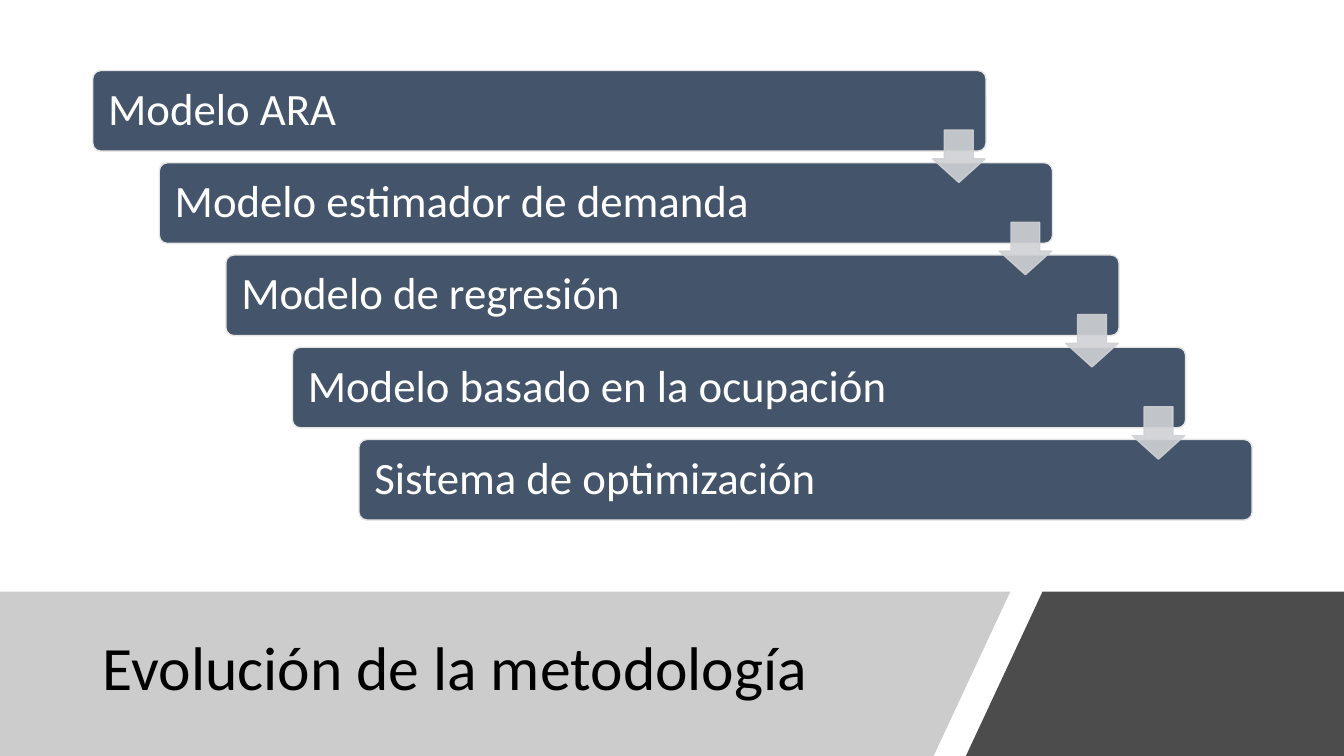
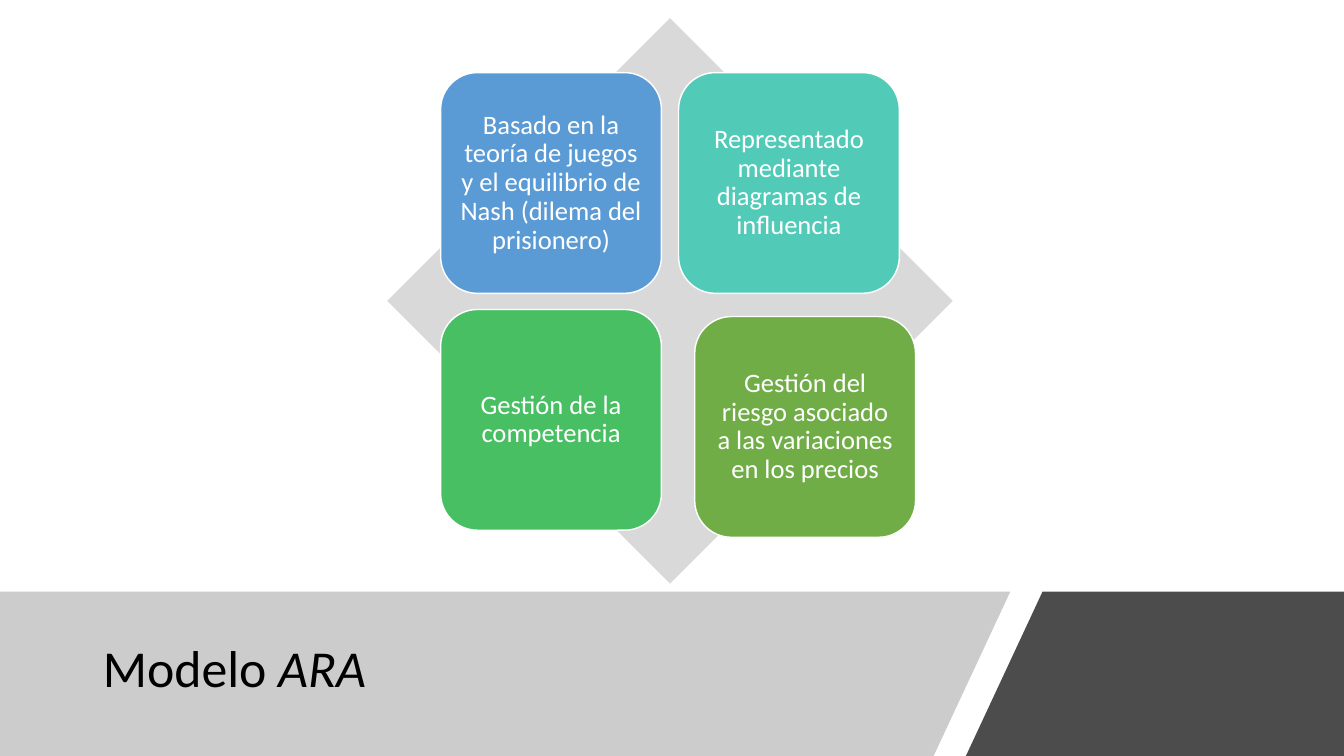
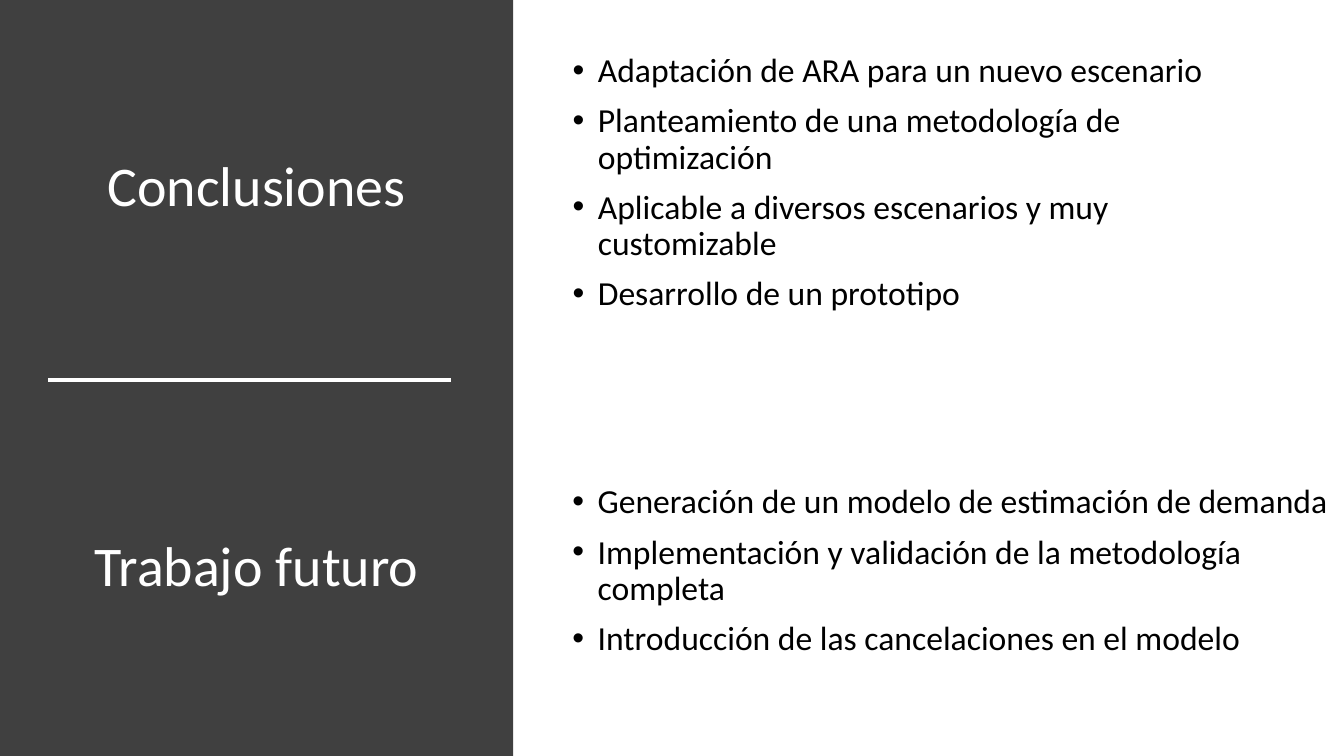
from dataclasses import dataclass

from lxml import etree
from pptx import Presentation
from pptx import util as u
from pptx.dml.color import RGBColor
from pptx.enum import shapes, text
from pptx.oxml.ns import qn

# Content
STEPS_TITLE = [("Evolución de la metodología", False)]
STEPS = [
    "Modelo ARA",
    "Modelo estimador de demanda",
    "Modelo de regresión",
    "Modelo basado en la ocupación",
    "Sistema de optimización",
]
ARA_TITLE = [("Modelo ", False), ("ARA", True)]
TRAITS = [  # wording, fill, left, top
    ("Basado en la teoría de juegos y el equilibrio de Nash (dilema del prisionero)",
     "5B9BD5", 4.37, 0.72),
    ("Representado mediante diagramas de influencia", "52CAB8", 6.73, 0.72),
    ("Gestión de la competencia", "49BF64", 4.37, 3.07),
    ("Gestión del riesgo asociado a las variaciones en los precios",
     "70AD47", 6.89, 3.14),
]
CONCLUSIONS = ("Conclusiones", [
    "Adaptación de ARA para un nuevo escenario",
    "Planteamiento de una metodología de optimización",
    "Aplicable a diversos escenarios y muy customizable",
    "Desarrollo de un prototipo",
])
FUTURE = ("Trabajo futuro", [
    "Generación de un modelo de estimación de demanda",
    "Implementación y validación de la metodología completa",
    "Introducción de las cancelaciones en el modelo",
])


@dataclass(frozen=True)
class Theme:
    font: str = "Calibri"
    ink: str = "000000"
    paper: str = "FFFFFF"
    band: str = "808080"
    panel: str = "404040"
    step: str = "44546A"
    step_edge: str = "E7E6E6"
    arrow: str = "CFD1D4"
    diamond: str = "D9D9D9"
    steps_title: int = 44
    ara_title: int = 37
    side_title: int = 40
    step_size: int = 32
    trait_size: int = 19
    list_size: int = 24
    leading: float = 0.9


T = Theme()
WIDTH, HEIGHT = 13.33, 7.5
BAND_TOP = 5.87
BANDS = [  # outline, colour, opacity in percent
    ([(0, BAND_TOP), (10.02, BAND_TOP), (9.26, HEIGHT), (0, HEIGHT)], T.band, 40),
    ([(10.34, BAND_TOP), (WIDTH, BAND_TOP), (WIDTH, HEIGHT), (9.58, HEIGHT)], T.ink, 70),
]
LEFT, CENTER = text.PP_ALIGN.LEFT, text.PP_ALIGN.CENTER
MIDDLE, TOP = text.MSO_ANCHOR.MIDDLE, text.MSO_ANCHOR.TOP


# Helpers
def inches(*values):
    return [u.Inches(v) for v in values]


def place(box, at):
    box.left, box.top, box.width, box.height = inches(*at)


def paint(fill, color, opacity=100):
    fill.solid()
    fill.fore_color.rgb = RGBColor.from_string(color)
    if opacity < 100:
        for rgb in fill._xPr.iter(qn("a:srgbClr")):
            etree.SubElement(rgb, qn("a:alpha")).set("val", str(opacity * 1000))


def style(shape, color, edge=None, opacity=100):
    shape.shadow.inherit = False
    paint(shape.fill, color, opacity)
    if edge:
        shape.line.width = u.Pt(1)
        paint(shape.line.fill, edge, opacity)
    else:
        shape.line.fill.background()


def add_shape(slide, kind, at, color, edge=None, opacity=100, adjust=()):
    shape = slide.shapes.add_shape(kind, *inches(*at))
    for i, value in enumerate(adjust):
        shape.adjustments[i] = value
    style(shape, color, edge, opacity)
    return shape


def write(box, paragraphs, size, color, align=LEFT, anchor=MIDDLE, inset=None, bullets=False):
    """Each paragraph is a list of (wording, italic) runs."""
    frame = box.text_frame
    frame.word_wrap = True
    frame.auto_size = text.MSO_AUTO_SIZE.NONE
    frame.vertical_anchor = anchor
    if inset is not None:
        frame.margin_left = frame.margin_right = u.Inches(inset)
        frame.margin_top = frame.margin_bottom = u.Inches(inset)
    for i, runs in enumerate(paragraphs):
        para = frame.add_paragraph() if i else frame.paragraphs[0]
        if bullets:
            props = para._p.get_or_add_pPr()
            props.set("marL", str(u.Inches(0.25)))
            props.set("indent", str(-u.Inches(0.25)))
            etree.SubElement(props, qn("a:buFont")).set("typeface", "Arial")
            etree.SubElement(props, qn("a:buChar")).set("char", "•")
        para.alignment = align
        para.line_spacing = T.leading
        para.space_before = u.Pt(10 if i else 0)
        for wording, italic in runs:
            run = para.add_run()
            run.text = wording
            run.font.name = T.font
            run.font.size = u.Pt(size)
            run.font.color.rgb = RGBColor.from_string(color)
            if italic:
                run.font.italic = True


def banded_slide(prs, title_runs, size):
    slide = prs.slides.add_slide(prs.slide_layouts[5])
    title = slide.shapes.title
    for outline, color, opacity in BANDS:
        points = [inches(*point) for point in outline]
        builder = slide.shapes.build_freeform(*points[0])
        builder.add_line_segments(points[1:], close=True)
        band = builder.convert_to_shape()
        style(band, color, opacity=opacity)
        title._element.addprevious(band._element)
    place(title, (0.92, 6.05, 8.44, 1.2))
    write(title, [title_runs], size, T.ink)
    return slide


# Slides
def steps_slide(prs):
    slide = banded_slide(prs, STEPS_TITLE, T.steps_title)
    shift, drop = 0.66, (4.36 - 0.7) / (len(STEPS) - 1)
    for i, step in enumerate(STEPS):
        bar = add_shape(slide, shapes.MSO_SHAPE.ROUNDED_RECTANGLE,
                        (0.92 + i * shift, 0.7 + i * drop, 8.86, 0.8),
                        T.step, T.step_edge, adjust=(0.1,))
        write(bar, [[(step, False)]], T.step_size, T.paper, inset=0.13)
    for i in range(len(STEPS) - 1):
        add_shape(slide, shapes.MSO_SHAPE.DOWN_ARROW,
                  (9.25 + i * shift, 1.29 + i * drop, 0.52, 0.52),
                  T.arrow, T.arrow, opacity=90, adjust=(0.55, 0.45))


def ara_slide(prs):
    slide = banded_slide(prs, ARA_TITLE, T.ara_title)
    add_shape(slide, shapes.MSO_SHAPE.DIAMOND, (3.84, 0.18, 5.61, 5.61), T.diamond)
    for wording, color, left, top in TRAITS:
        tile = add_shape(slide, shapes.MSO_SHAPE.ROUNDED_RECTANGLE,
                         (left, top, 2.19, 2.19), color, T.paper)
        write(tile, [[(wording, False)]], T.trait_size, T.paper, CENTER, inset=0.08)


def closing_slide(prs):
    slide = prs.slides.add_slide(prs.slide_layouts[1])
    title, body = slide.shapes.title, slide.placeholders[1]
    panel_width = 5.09
    panel = add_shape(slide, shapes.MSO_SHAPE.RECTANGLE,
                      (0, 0, panel_width, HEIGHT), T.panel)
    title._element.addprevious(panel._element)

    future_title, future_list = (
        slide.shapes.add_textbox(0, 0, 0, 0) for _ in range(2))
    sections = [  # content, heading, heading top, points, points place
        (CONCLUSIONS, title, 0.99, body, (5.58, 0.48, 7.11, 3.62)),
        (FUTURE, future_title, 4.76, future_list, (5.58, 4.76, 7.76, 2.5)),
    ]
    for (name, points), heading, top, listing, at in sections:
        place(heading, (0, top, panel_width, 1.75))
        write(heading, [[(name, False)]], T.side_title, T.paper, CENTER)
        place(listing, at)
        write(listing, [[(point, False)] for point in points],
              T.list_size, T.ink, anchor=TOP, bullets=True)

    divider = slide.shapes.add_connector(
        shapes.MSO_CONNECTOR.STRAIGHT, *inches(0.48, 3.77, 4.47, 3.77))
    divider.line.width = u.Pt(2.5)
    paint(divider.line.fill, T.paper)
    etree.SubElement(divider._element.spPr, qn("a:effectLst"))


def main():
    prs = Presentation()
    prs.slide_width, prs.slide_height = inches(WIDTH, HEIGHT)
    steps_slide(prs)
    ara_slide(prs)
    closing_slide(prs)
    prs.save("out.pptx")


if __name__ == "__main__":
    main()
